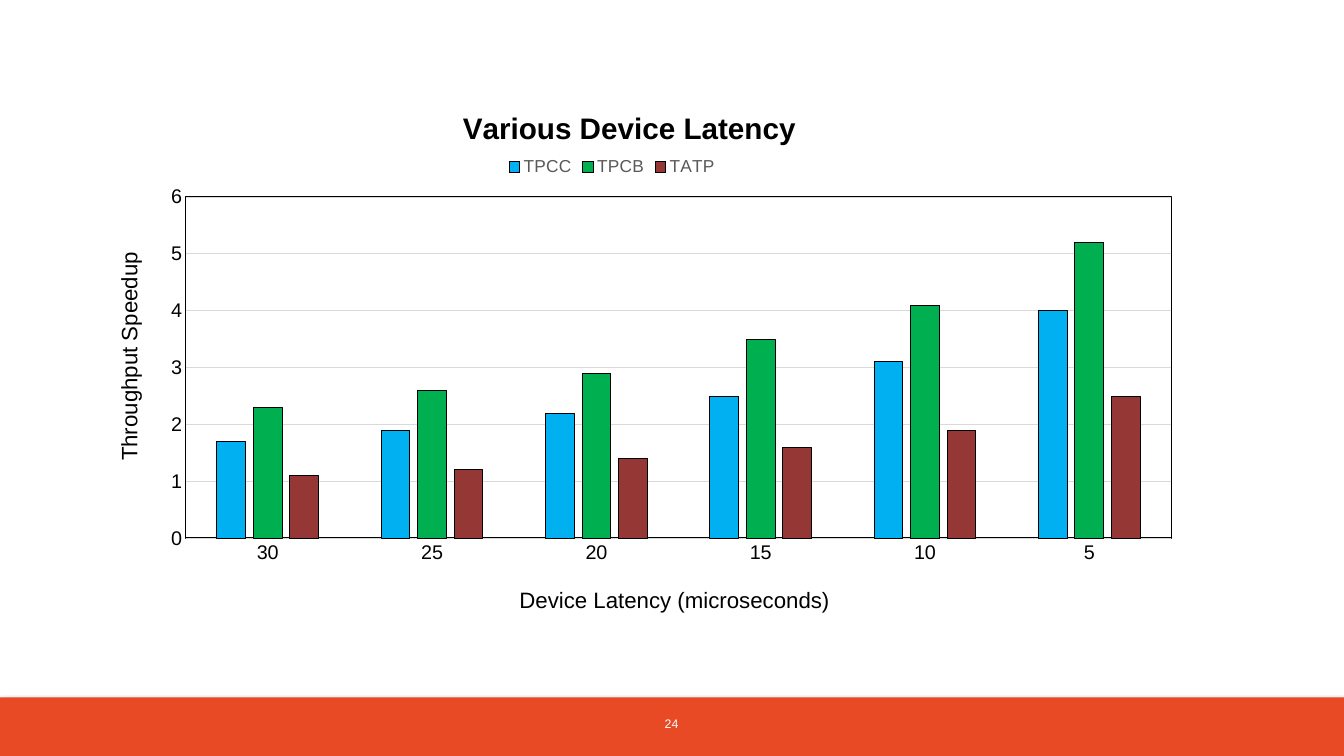
"""Build the device latency slide with a clustered column chart."""
from dataclasses import dataclass

from lxml import etree
from pptx import Presentation
from pptx import util as u
from pptx.chart.data import CategoryChartData
from pptx.dml.color import RGBColor
from pptx.enum import chart as ce, shapes, text
from pptx.oxml import parse_xml
from pptx.oxml.ns import nsdecls, qn

FONT = "Arial"
BLACK, GREY, WHITE, RULE = "000000", "595959", "FFFFFF", "D9D9D9"


@dataclass
class Series:
    name: str
    color: str
    vals: tuple[float, ...]


@dataclass
class Label:
    owner: object
    words: str
    size: int
    left: float
    top: float
    bold: bool = False


CATS = ("30", "25", "20", "15", "10", "5")
SERIES = (
    Series("TPCC", "00B0F0", (1.7, 1.9, 2.2, 2.5, 3.1, 4)),
    Series("TPCB", "00B050", (2.3, 2.6, 2.9, 3.5, 4.1, 5.2)),
    Series("TATP", "953735", (1.1, 1.2, 1.4, 1.6, 1.9, 2.5)),
)


def paint(fmt, color: str) -> None:
    fmt.solid()
    fmt.fore_color.rgb = RGBColor.from_string(color)


def stroke(line, color: str, width: float = 0.75) -> None:
    paint(line.fill, color)
    line.width = u.Pt(width)


def style(font, size: int, color: str = BLACK, bold: bool = False) -> None:
    font.name, font.size, font.bold = FONT, u.Pt(size), bold
    font.color.rgb = RGBColor.from_string(color)


def write(frame, words: str, *, size: int, color: str = BLACK,
          bold: bool = False) -> None:
    para = frame.paragraphs[0]
    para.alignment = text.PP_ALIGN.CENTER
    run = para.add_run()
    run.text = words
    style(run.font, size, color, bold)


def layout(**vals: object) -> etree._Element:
    rows = "".join(f'<c:{tag} val="{val}"/>' for tag, val in vals.items())
    return parse_xml(f'<c:layout {nsdecls("c")}><c:manualLayout>{rows}'
                     '</c:manualLayout></c:layout>')


def place(elem, left: float, top: float) -> None:
    for old in elem.findall(qn("c:layout")):
        elem.remove(old)
    spot = layout(xMode="edge", yMode="edge", x=left, y=top)
    elem.find(qn("c:overlay")).addprevious(spot)


def add_bar(slide, width: int) -> None:
    bar = slide.shapes.add_shape(shapes.MSO_SHAPE.RECTANGLE, 0, u.Inches(7.84),
                                 width, u.Inches(0.66))
    paint(bar.fill, "E84A26")
    bar.line.fill.background()
    bar.shadow.inherit = False
    glow = parse_xml(
        f'<a:outerShdw {nsdecls("a")} blurRad="{u.Pt(3.1)}" dist="{u.Pt(1.8)}" '
        'dir="5400000" rotWithShape="0"><a:srgbClr val="000000">'
        '<a:alpha val="35000"/></a:srgbClr></a:outerShdw>')
    bar._element.spPr.find(qn("a:effectLst")).append(glow)


def add_page(slide, num: str) -> None:
    box = slide.shapes.add_textbox(u.Inches(7.26), u.Inches(7.91),
                                   u.Inches(0.58), u.Inches(0.45))
    frame = box.text_frame
    frame.word_wrap = True
    frame.vertical_anchor = text.MSO_ANCHOR.MIDDLE
    write(frame, num, size=10, color=WHITE)


def frame_plot(chart) -> None:
    area = chart._chartSpace.chart.plotArea
    for old in area.findall(qn("c:layout")):
        area.remove(old)
    area.insert(0, layout(layoutTarget="inner", xMode="edge", yMode="edge",
                          x=0.125, y=0.238, w=0.852, h=0.615))
    area.append(parse_xml(
        f'<c:spPr {nsdecls("c", "a")}><a:noFill/><a:ln w="{u.Pt(1.25)}"><a:solidFill>'
        f'<a:srgbClr val="{BLACK}"/></a:solidFill></a:ln></c:spPr>'))


def add_chart(slide) -> None:
    data = CategoryChartData()
    data.categories = CATS
    for item in SERIES:
        data.add_series(item.name, item.vals)
    chart = slide.shapes.add_chart(
        ce.XL_CHART_TYPE.COLUMN_CLUSTERED, u.Inches(0.46), u.Inches(0.73),
        u.Inches(13.01), u.Inches(6.24), data).chart
    style(chart.font, 10)
    plot = chart.plots[0]
    plot.gap_width, plot.overlap, plot.vary_by_categories = 219, -27, False
    for bars, item in zip(plot.series, SERIES):
        paint(bars.format.fill, item.color)
        stroke(bars.format.line, BLACK)

    cat, val = chart.category_axis, chart.value_axis
    for axis in (cat, val):
        axis.major_tick_mark = axis.minor_tick_mark = ce.XL_TICK_MARK.NONE
        style(axis.tick_labels.font, 16)
    stroke(cat.format.line, RULE)
    val.format.line.fill.background()
    val.minimum_scale, val.maximum_scale, val.major_unit = 0, 6, 1
    stroke(val.major_gridlines.format.line, RULE)

    chart.has_title = cat.has_title = val.has_title = True
    for tag in (
        Label(chart.chart_title, "Various Device Latency", 24, 0.36, 0.07, True),
        Label(cat.axis_title, "Device Latency (microseconds)", 18, 0.41, 0.93),
        Label(val.axis_title, "Throughput Speedup", 18, 0.06, 0.33),
    ):
        write(tag.owner.text_frame, tag.words, size=tag.size, bold=tag.bold)
        place(tag.owner._element, tag.left, tag.top)
    val.axis_title._element.find(".//" + qn("a:bodyPr")).set("rot", "-5400000")

    chart.has_legend = True
    key = chart.legend
    key.position = ce.XL_LEGEND_POSITION.TOP
    key.include_in_layout = False
    style(key.font, 14, GREY)
    place(key._element, 0.4, 0.16)
    frame_plot(chart)


def main() -> None:
    deck = Presentation()
    deck.slide_width, deck.slide_height = u.Inches(15.11), u.Inches(8.5)
    slide = deck.slides.add_slide(deck.slide_layouts[6])
    paint(slide.background.fill, WHITE)
    add_bar(slide, deck.slide_width)
    add_page(slide, "24")
    add_chart(slide)
    deck.save("out.pptx")


if __name__ == "__main__":
    main()
